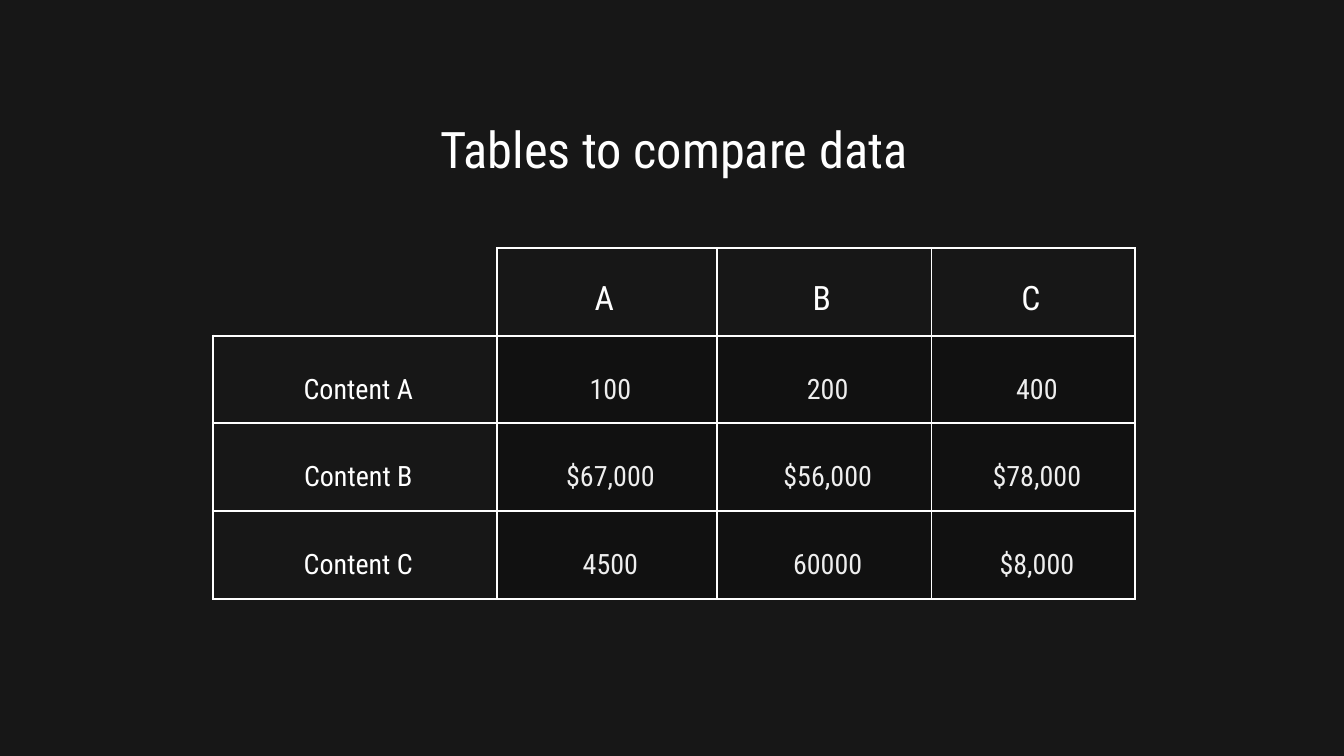
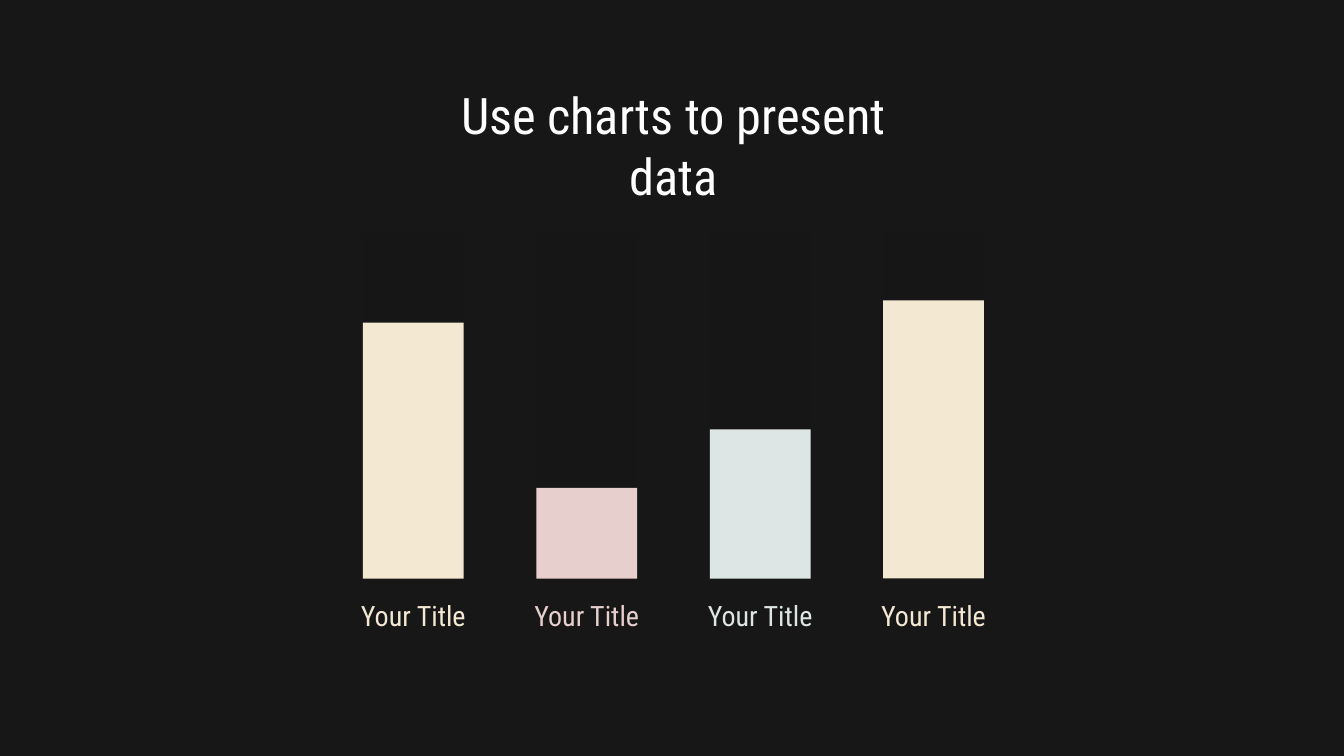
from dataclasses import dataclass

import lxml.etree
import pptx
import pptx.dml.color
import pptx.enum.shapes
import pptx.enum.text
import pptx.oxml.ns
import pptx.util

# Shared look
WIDTH, HEIGHT = 13.33, 7.5
FONT = "Roboto Condensed"
BACKGROUND = "171717"
WHITE = "FFFFFF"
SOFT_WHITE = "EEEEEE"
CREAM, ROSE, MIST = "F3E9D3", "E6CFCD", "DEE5E5"

# Table grid
TABLE_LEFT, TABLE_TOP = 2.11, 2.46
COLUMNS = (2.82, 2.18, 2.13, 2.02)
ROW_HEIGHT = 0.87
ROWS = (
    ("", "A", "B", "C"),
    ("Content A", "100", "200", "400"),
    ("Content B", "$67,000", "$56,000", "$78,000"),
    ("Content C", "4500", "60000", "$8,000"),
)

# Bar grid: one column every BAR_STEP, all standing on BAR_BASE
BAR_LEFT, BAR_STEP, BAR_WIDTH = 3.6, 1.72, 1.0
BAR_TOP, BAR_BASE = 2.32, 5.74
LABEL_TOP, LABEL_WIDTH, LABEL_HEIGHT = 5.94, 1.37, 0.37


@dataclass(frozen=True)
class Box:
    left: float
    top: float
    width: float
    height: float

    def emu(self) -> tuple:
        return tuple(pptx.util.Inches(v) for v in
                     (self.left, self.top, self.width, self.height))


@dataclass(frozen=True)
class Bar:
    label: str
    height: float
    color: str


BARS = (
    Bar("Your Title", 2.54, CREAM),
    Bar("Your Title", 0.9, ROSE),
    Bar("Your Title", 1.48, MIST),
    Bar("Your Title", 2.76, CREAM),
)


def paint(fill, color: str, opacity: int = 100) -> None:
    """Apply a solid colour, with opacity in percent."""
    fill.solid()
    fill.fore_color.rgb = pptx.dml.color.RGBColor.from_string(color)
    if opacity < 100:
        element = fill._xPr.find(".//" + pptx.oxml.ns.qn("a:srgbClr"))
        lxml.etree.SubElement(element, pptx.oxml.ns.qn("a:alpha"),
                              val=str(opacity * 1000))


def write(tf, text: str, *, size: float, color: str = WHITE) -> None:
    """Put one centred line of text into a text frame."""
    p = tf.paragraphs[0]
    p.alignment = pptx.enum.text.PP_ALIGN.CENTER
    r = p.add_run()
    r.text = text
    r.font.size = pptx.util.Pt(size)
    r.font.name = FONT
    paint(r.font.fill, color)


def set_margins(frame, left: float = 0, top: float = 0,
                right: float = 0, bottom: float = 0) -> None:
    frame.margin_left = pptx.util.Inches(left)
    frame.margin_top = pptx.util.Inches(top)
    frame.margin_right = pptx.util.Inches(right)
    frame.margin_bottom = pptx.util.Inches(bottom)


def add_titled_slide(prs, title: str, box: Box):
    s = prs.slides.add_slide(prs.slide_layouts[5])
    sp = s.shapes.title
    sp.left, sp.top, sp.width, sp.height = box.emu()
    tf = sp.text_frame
    tf.word_wrap = True
    tf.auto_size = pptx.enum.text.MSO_AUTO_SIZE.NONE
    tf.vertical_anchor = pptx.enum.text.MSO_ANCHOR.MIDDLE
    set_margins(tf)
    write(tf, title, size=36)
    return s


def set_borders(cell, visible: str) -> None:
    """Draw white lines on the sides named in visible, none elsewhere."""
    qn = pptx.oxml.ns.qn
    properties = cell._tc.get_or_add_tcPr()
    for side in "LRTB":
        line = lxml.etree.SubElement(properties, qn("a:ln" + side),
                                     w=str(pptx.util.Pt(1.5)))
        if side in visible:
            solid = lxml.etree.SubElement(line, qn("a:solidFill"))
            lxml.etree.SubElement(solid, qn("a:srgbClr"), val=WHITE)
        else:
            lxml.etree.SubElement(line, qn("a:noFill"))


def format_cell(cell, text: str, row: int, column: int) -> None:
    header, value = row == 0, row > 0 and column > 0
    set_borders(cell, "LRTB" if text else "RB")
    if value:
        paint(cell.fill, "111111", opacity=9)
    else:
        cell.fill.background()
    if not text:
        return
    if header:
        set_margins(cell, 0, 0.31, 0.05, 0)
    else:
        set_margins(cell, 0.12, 0.22, 0.05, 0.02)
        cell.vertical_anchor = pptx.enum.text.MSO_ANCHOR.MIDDLE
    write(cell.text_frame, text, size=24 if header else 20,
          color=SOFT_WHITE if value else WHITE)


def add_data_table(s) -> None:
    box = Box(TABLE_LEFT, TABLE_TOP, sum(COLUMNS), ROW_HEIGHT * len(ROWS))
    table = s.shapes.add_table(len(ROWS), len(COLUMNS), *box.emu()).table
    table.first_row = table.horz_banding = False
    for column, width in zip(table.columns, COLUMNS):
        column.width = pptx.util.Inches(width)
    for i, texts in enumerate(ROWS):
        table.rows[i].height = pptx.util.Inches(ROW_HEIGHT)
        for j, text in enumerate(texts):
            format_cell(table.cell(i, j), text, i, j)


def add_block(s, box: Box, color: str, opacity: int = 100) -> None:
    sp = s.shapes.add_shape(
        pptx.enum.shapes.MSO_SHAPE.RECTANGLE, *box.emu())
    sp.shadow.inherit = False
    sp.line.fill.background()
    paint(sp.fill, color, opacity)


def add_bar(s, column: int, bar: Bar) -> None:
    left = BAR_LEFT + column * BAR_STEP
    top = BAR_BASE - bar.height
    add_block(s, Box(left, BAR_TOP, BAR_WIDTH, top - BAR_TOP),
              "161616", opacity=15)
    add_block(s, Box(left, top, BAR_WIDTH, bar.height), bar.color)
    label = Box(left + (BAR_WIDTH - LABEL_WIDTH) / 2, LABEL_TOP,
                LABEL_WIDTH, LABEL_HEIGHT)
    tf = s.shapes.add_textbox(*label.emu()).text_frame
    tf.word_wrap = True
    set_margins(tf)
    write(tf, bar.label, size=20, color=bar.color)


def main() -> None:
    prs = pptx.Presentation()
    prs.slide_width = pptx.util.Inches(WIDTH)
    prs.slide_height = pptx.util.Inches(HEIGHT)
    paint(prs.slide_master.background.fill, BACKGROUND)

    # Table slide
    s = add_titled_slide(prs, "Tables to compare data",
                         Box(2.6, 1.12, 8.17, 0.71))
    add_data_table(s)

    # Bar slide
    s = add_titled_slide(prs, "Use charts to present data",
                         Box(4.18, 1.13, 5, 0.61))
    for column, bar in enumerate(BARS):
        add_bar(s, column, bar)

    prs.save("out.pptx")


if __name__ == "__main__":
    main()
